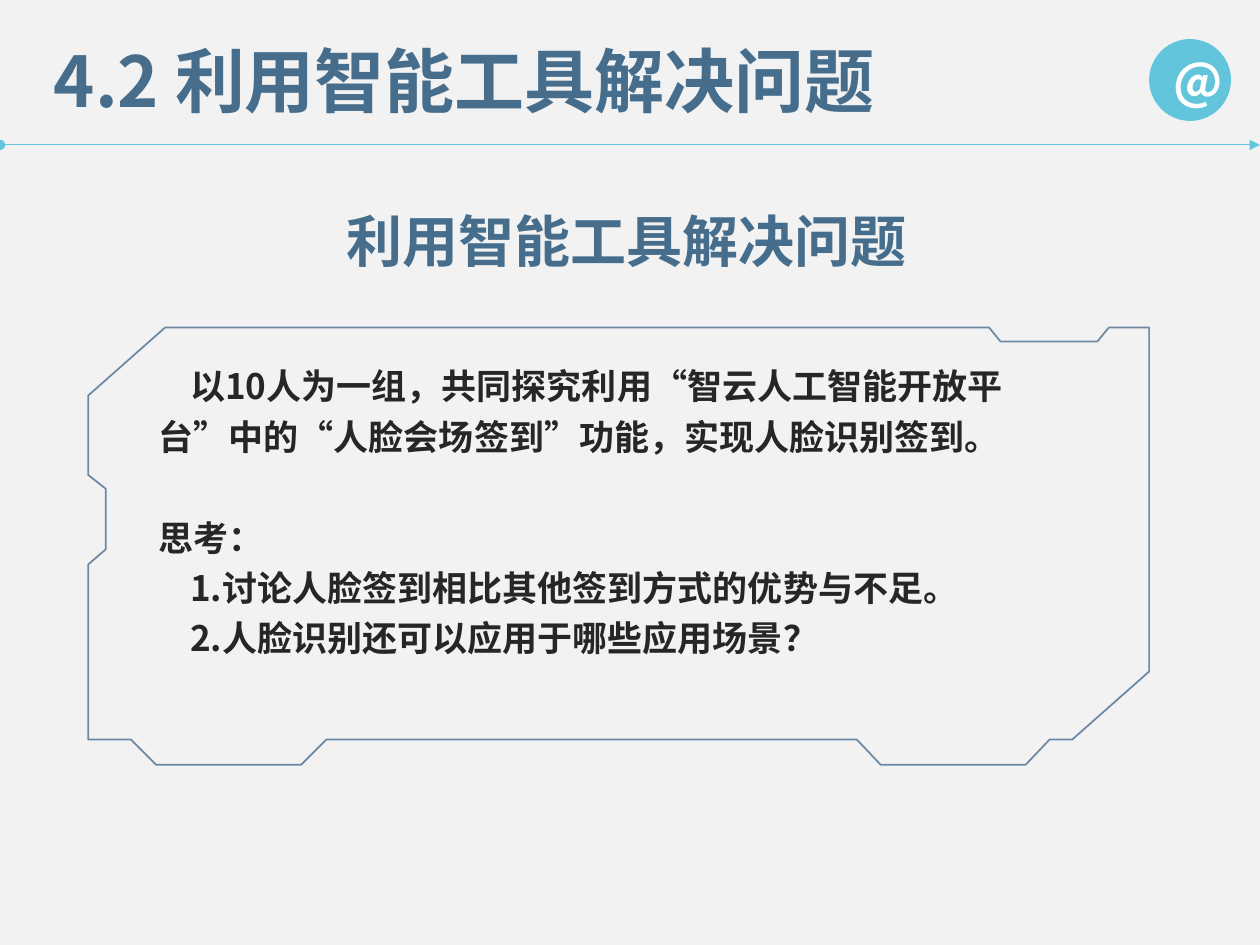
from pptx import Presentation, util as u
from pptx.dml.color import RGBColor
from pptx.enum import shapes, text
from pptx.oxml.ns import qn
from lxml import etree

FONT = "Noto Sans CJK SC"
BACKGROUND = RGBColor(0xF2, 0xF2, 0xF2)
CYAN = RGBColor(0x62, 0xC5, 0xDC)
BLUE = RGBColor(0x46, 0x6E, 0x8C)
NAVY = RGBColor(0x1F, 0x4E, 0x79)
DARK = RGBColor(0x26, 0x26, 0x26)
WHITE = RGBColor(0xFF, 0xFF, 0xFF)

LINE_PITCH = 1.2  # line height as a multiple of the text size
BODY_SIZE = 20
BODY_PITCH = BODY_SIZE * 1.2 * LINE_PITCH
INDENT = u.Inches(0.25)

TASK = "以10人为一组，共同探究利用“智云人工智能开放平台”中的“人脸会场签到”功能，实现人脸识别签到。"
QUESTIONS = [
    "1.讨论人脸签到相比其他签到方式的优势与不足。",
    "2.人脸识别还可以应用于哪些应用场景？",
]
# Corners of the notched frame in hundredths of an inch,
# clockwise from the cut top left
FRAME = [
    (131, 260), (785, 260), (794, 271), (871, 271), (880, 260),
    (912, 260), (912, 533), (851, 587), (833, 587), (814, 607),
    (699, 607), (680, 587), (259, 587), (239, 607), (124, 607),
    (104, 587), (70, 587), (70, 448), (84, 436), (84, 388),
    (70, 377), (70, 314),
]


def style_text(para, size, color):
    for span in para.runs:
        font = span.font
        font.name, font.size, font.bold = FONT, u.Pt(size), True
        font.color.rgb = color
        east_asian = etree.SubElement(font._element, qn("a:ea"))
        east_asian.set("typeface", FONT)


def add_text(page, area, lines, size, color, pitch):
    box = page.shapes.add_textbox(*map(u.Inches, area))
    frame = box.text_frame
    frame.text = "\n".join(lines)
    frame.word_wrap = True
    frame.auto_size = text.MSO_AUTO_SIZE.SHAPE_TO_FIT_TEXT
    for para in frame.paragraphs:
        para.line_spacing = u.Pt(pitch)
        style_text(para, size, color)
    return box


def add_heading(page, area, words, size):
    add_text(page, area, [words], size, BLUE, size * LINE_PITCH)


def add_task(page):
    box = add_text(page, (1.16, 2.78, 7.48, 2.52),
                   [TASK, "思考：", *QUESTIONS], BODY_SIZE, DARK, BODY_PITCH)
    task, prompt, *questions = box.text_frame.paragraphs
    task.space_after = u.Pt(BODY_PITCH)
    for para in (task, *questions):
        para._p.get_or_add_pPr().set("indent", str(INDENT))


def add_rule(page, width):
    height = u.Inches(1.15)
    rule = page.shapes.add_connector(shapes.MSO_CONNECTOR.STRAIGHT,
                                     0, height, width, height)
    rule.line.color.rgb = CYAN
    rule.line.width = u.Pt(0.5)
    line = rule.line._get_or_add_ln()
    for end, kind in (("headEnd", "oval"), ("tailEnd", "triangle")):
        etree.SubElement(line, qn(f"a:{end}")).set("type", kind)
    etree.SubElement(rule._element.spPr, qn("a:effectLst"))


def add_badge(page):
    badge = page.shapes.add_shape(shapes.MSO_SHAPE.OVAL,
                                  *map(u.Inches, (9.12, 0.31, 0.65, 0.65)))
    badge.shadow.inherit = False
    badge.fill.solid()
    badge.fill.fore_color.rgb = CYAN
    badge.line.fill.background()
    badge.text_frame.text = "@"
    badge.text_frame.vertical_anchor = text.MSO_ANCHOR.MIDDLE
    para = badge.text_frame.paragraphs[0]
    para.alignment = text.PP_ALIGN.CENTER
    style_text(para, 28, WHITE)


def add_frame(page):
    start, *corners = FRAME
    builder = page.shapes.build_freeform(*start, scale=u.Inches(0.01))
    builder.add_line_segments(corners, close=True)
    frame = builder.convert_to_shape()
    frame.shadow.inherit = False
    frame.fill.background()
    frame.line.color.rgb = NAVY
    frame.line.width = u.Pt(1)
    color = frame.line._get_or_add_ln().find(".//" + qn("a:srgbClr"))
    etree.SubElement(color, qn("a:alpha")).set("val", "64000")


def main():
    deck = Presentation()
    deck.slide_width, deck.slide_height = u.Inches(10), u.Inches(7.5)
    page = deck.slides.add_slide(deck.slide_layouts[6])
    page.background.fill.solid()
    page.background.fill.fore_color.rgb = BACKGROUND

    # Header
    add_rule(page, deck.slide_width)
    add_badge(page)
    add_heading(page, (0.33, 0.25, 7.24, 0.77), "4.2 利用智能工具解决问题", 40)

    # Activity
    add_heading(page, (2.65, 1.59, 4.71, 0.64), "利用智能工具解决问题", 32)
    add_frame(page)
    add_task(page)

    deck.save("out.pptx")


if __name__ == "__main__":
    main()
